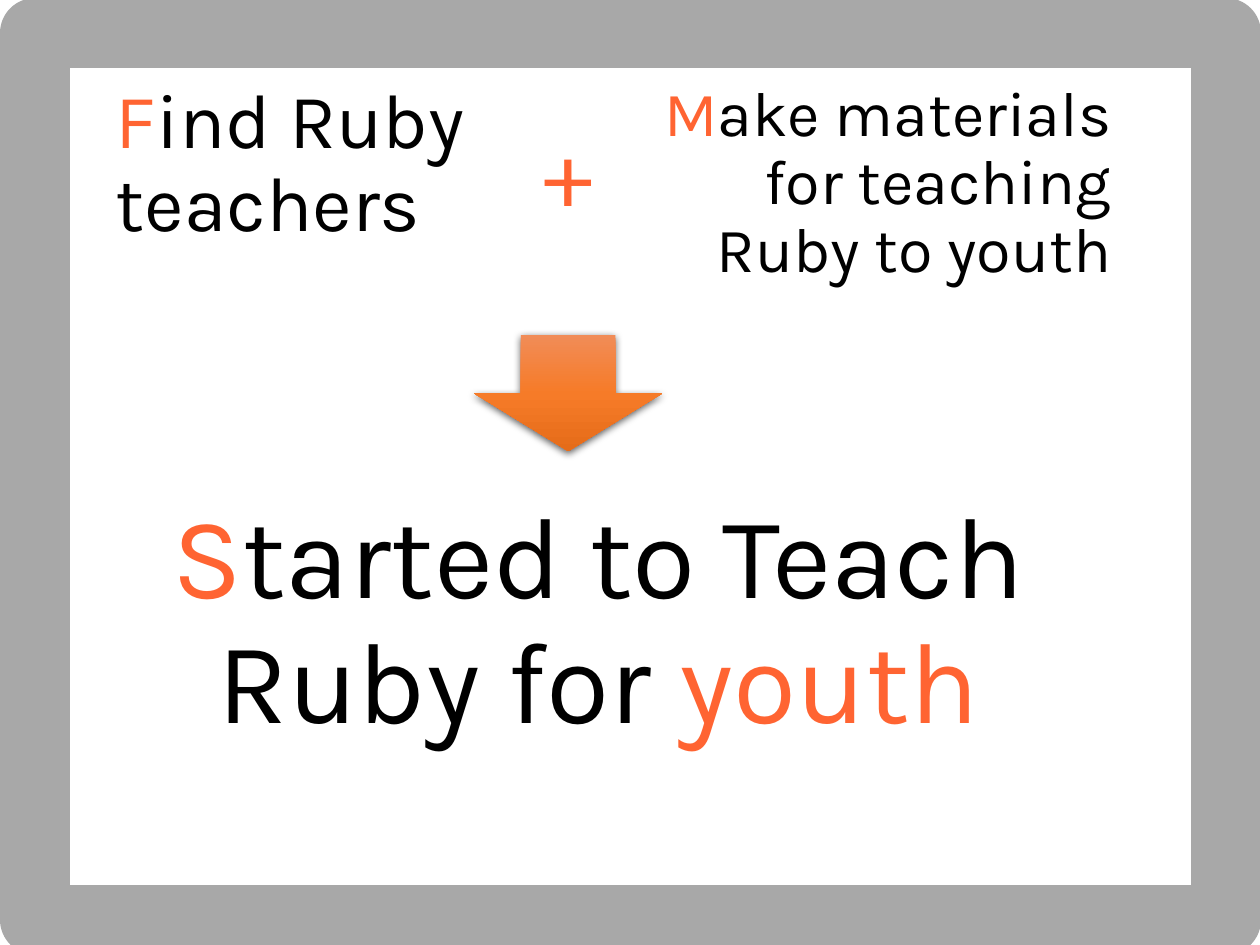
from dataclasses import dataclass

from pptx import Presentation
from pptx.dml.color import RGBColor
from pptx.enum.shapes import MSO_SHAPE
from pptx.enum.text import MSO_ANCHOR, MSO_AUTO_SIZE, PP_ALIGN
from pptx.oxml import parse_xml
from pptx.oxml.ns import nsdecls
from pptx.util import Inches, Pt

LEFT, CENTER, RIGHT = PP_ALIGN.LEFT, PP_ALIGN.CENTER, PP_ALIGN.RIGHT
DOWN_ARROW, RECTANGLE = MSO_SHAPE.DOWN_ARROW, MSO_SHAPE.RECTANGLE
WIDTH, HEIGHT = Inches(10), Inches(7.5)
FONT = "Karla"
COLORS = {
    "accent": "FF6432",
    "text": "000000",
    "paper": "FFFFFF",
    "frame": "A8A8A8",
    "arrow_top": "F18C57",
    "arrow_middle": "F67B28",
    "arrow_bottom": "E56C19",
}
FRAME_FORMAT = {"width": Pt(40)}
TEXT_FORMAT = {
    "word_wrap": True,
    "auto_size": MSO_AUTO_SIZE.NONE,
    "vertical_anchor": MSO_ANCHOR.TOP,
}


@dataclass
class Area:
    left: float
    top: float
    width: float
    height: float

    def lengths(self) -> tuple[int, int, int, int]:
        return (
            round(self.left / 100 * WIDTH),
            round(self.top / 100 * HEIGHT),
            round(self.width / 100 * WIDTH),
            round(self.height / 100 * HEIGHT),
        )


@dataclass
class Message:
    area: Area
    size: int
    alignment: PP_ALIGN
    runs: list[tuple[str, str]]


TITLE = Message(Area(8.2, 52.13, 78.6, 32.4), 66, CENTER, [
    ("S", "accent"), ("tarted to Teach Ruby for ", "text"), ("youth", "accent"),
])
MESSAGES = [
    Message(Area(8.2, 8, 33.9, 28.27), 44, LEFT, [
        ("F", "accent"), ("ind Ruby teachers", "text"),
    ]),
    Message(Area(48, 8, 41.2, 25.6), 36, RIGHT, [
        ("M", "accent"), ("ake materials for teaching Ruby to youth", "text"),
    ]),
    Message(Area(39.7, 12.53, 10.8, 12.13), 54, CENTER, [("+", "accent")]),
]
ARROW_AREA = Area(37.6, 35.47, 15, 12.27)
FRAME_AREA = Area(2.8, 3.47, 94.5, 93.87)


def color(name: str) -> RGBColor:
    return RGBColor.from_string(COLORS[name])


def write_message(shape, message: Message) -> None:
    shape.left, shape.top, shape.width, shape.height = message.area.lengths()
    for name, value in TEXT_FORMAT.items():
        setattr(shape.text_frame, name, value)
    paragraph = shape.text_frame.paragraphs[0]
    paragraph_format = {
        "alignment": message.alignment,
        "line_spacing": 0.9,
        "space_before": Pt(0),
    }
    for name, value in paragraph_format.items():
        setattr(paragraph, name, value)
    for text, color_name in message.runs:
        run = paragraph.add_run()
        run.text = text
        for name, value in {"name": FONT, "size": Pt(message.size)}.items():
            setattr(run.font, name, value)
        run.font.color.rgb = color(color_name)


def draw_arrow(slide) -> None:
    arrow = slide.shapes.add_shape(DOWN_ARROW, *ARROW_AREA.lengths())
    arrow.line.fill.background()
    arrow.fill.gradient()
    arrow.fill.gradient_angle = 270
    properties = arrow._element.spPr
    stops = properties.find(".//{*}gsLst")
    for stop in list(stops):
        stops.remove(stop)
    for position, name in enumerate(("arrow_top", "arrow_middle", "arrow_bottom")):
        stops.append(parse_xml(
            f'<a:gs {nsdecls("a")} pos="{position * 50000}">'
            f'<a:srgbClr val="{COLORS[name]}"/></a:gs>'
        ))
    properties.append(parse_xml(
        f'<a:effectLst {nsdecls("a")}>'
        f'<a:outerShdw blurRad="{Pt(4.5)}" dist="{Pt(1.5)}" dir="5400000" rotWithShape="0">'
        f'<a:srgbClr val="{COLORS["text"]}"><a:alpha val="63000"/></a:srgbClr>'
        '</a:outerShdw></a:effectLst>'
    ))


def draw_frame(slide) -> None:
    frame = slide.shapes.add_shape(RECTANGLE, *FRAME_AREA.lengths())
    frame.shadow.inherit = False
    frame.fill.background()
    frame.line.color.rgb = color("frame")
    for name, value in FRAME_FORMAT.items():
        setattr(frame.line, name, value)


def main() -> None:
    presentation = Presentation()
    presentation.slide_width, presentation.slide_height = WIDTH, HEIGHT
    slide = presentation.slides.add_slide(presentation.slide_layouts[0])
    slide.background.fill.solid()
    slide.background.fill.fore_color.rgb = color("paper")
    subtitle = slide.placeholders[1]._element
    subtitle.getparent().remove(subtitle)
    write_message(slide.shapes.title, TITLE)
    for message in MESSAGES:
        write_message(slide.shapes.add_textbox(*message.area.lengths()), message)
    draw_arrow(slide)
    draw_frame(slide)
    presentation.save("out.pptx")


if __name__ == "__main__":
    main()
